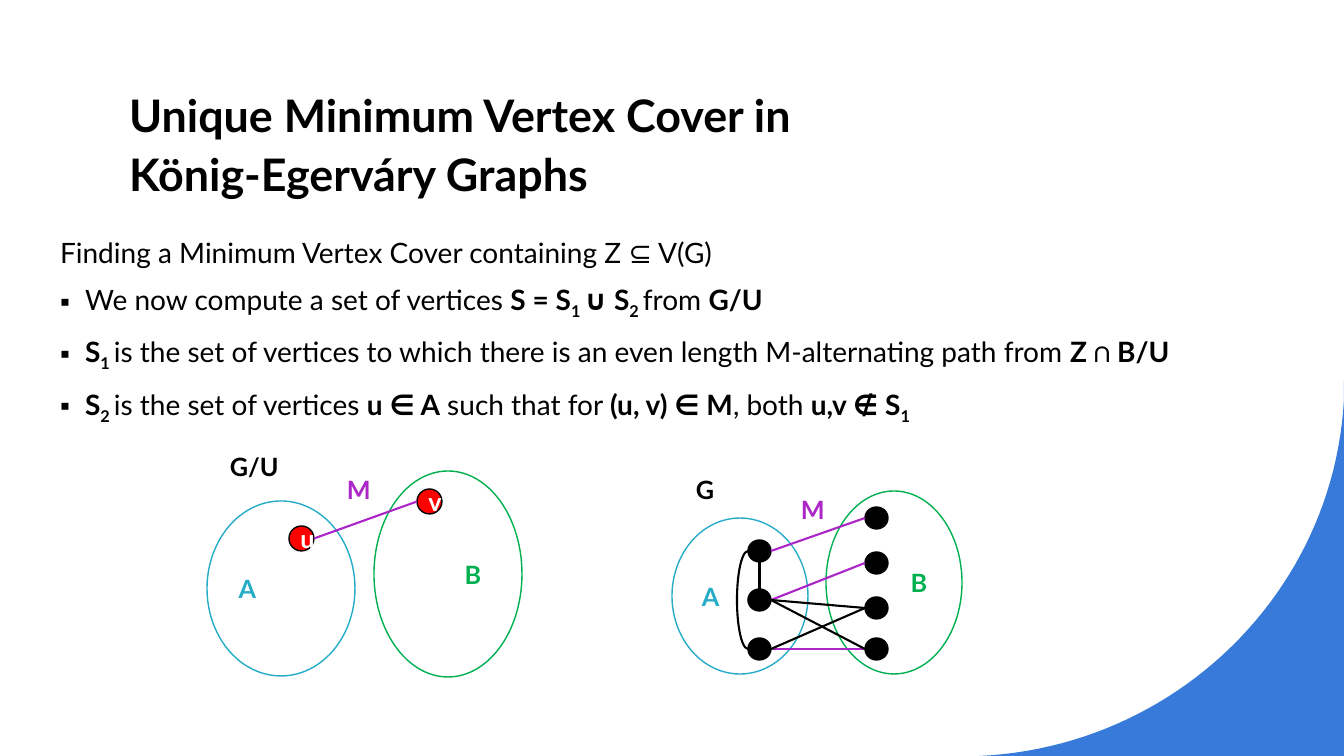
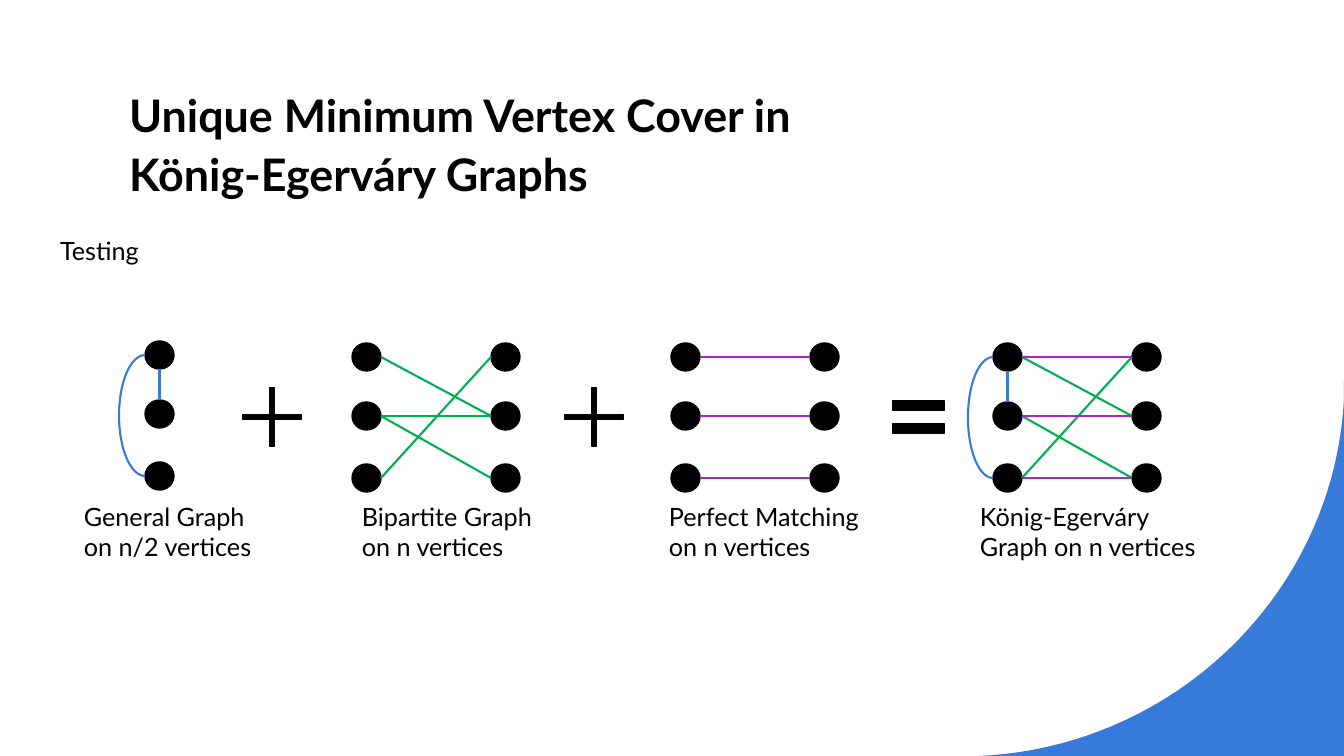
from lxml import etree
from pptx import Presentation
from pptx.dml.color import RGBColor
from pptx.enum import shapes, text
from pptx.oxml.ns import qn
from pptx.util import Emu, Pt

EMU_PER_PX = 914400 / 100.8
FONT = "Lato"
COLOURS = {
    "black": "000000",
    "white": "FFFFFF",
    "red": "FF0000",
    "blue": "377AD9",
    "green": "00B050",
    "cyan": "25ACC7",
    "purple": "AC25C7",
}
TITLE = "Unique Minimum Vertex Cover in König-Egerváry Graphs"
LEFT, CENTER = text.PP_ALIGN.LEFT, text.PP_ALIGN.CENTER
FORM = shapes.MSO_SHAPE


def px(length):
    return Emu(round(length * EMU_PER_PX))


def colour(name):
    return RGBColor.from_string(COLOURS[name])


def curve_points(start, first, second, end, steps=48):
    for step in range(steps + 1):
        t = step / steps
        s = 1 - t
        weights = (s ** 3, 3 * s * s * t, 3 * s * t * t, t ** 3)
        corners = (start, first, second, end)
        yield tuple(px(sum(w * c[axis] for w, c in zip(weights, corners)))
                    for axis in (0, 1))


class GraphDeck:
    def __init__(self):
        self.deck = Presentation()
        self.deck.slide_width, self.deck.slide_height = px(1344), px(756)
        self.layout = self.deck.slide_layouts[1]
        title, body = list(self.layout.placeholders)[:2]
        self.place(title, (119, 80, 806, 126))
        self.place(body, (50, 230, 1283, 492))
        self.page = None

    def place(self, box, frame):
        box.left, box.top, box.width, box.height = map(px, frame)

    def add_page(self):
        first = self.page is None
        self.page = self.deck.slides.add_slide(self.layout)
        if first:
            self.add_corner()
        frame = self.page.shapes.title.text_frame
        frame.auto_size = text.MSO_AUTO_SIZE.NONE
        frame.vertical_anchor = text.MSO_ANCHOR.BOTTOM
        frame.text = TITLE
        para = frame.paragraphs[0]
        para.line_spacing = 1.1
        self.style(para, 32, bold=True)

    def add_corner(self):
        outline = self.page.shapes.build_freeform(px(1344), px(381))
        arc = curve_points((979, 756), (1176, 747), (1334, 592), (1344, 399))
        outline.add_line_segments([(px(1344), px(756)), *arc], close=True)
        corner = outline.convert_to_shape()
        self.paint(corner, "blue")
        self.layout.shapes.element.append(corner.element)

    def style(self, para, size=18, ink="black", bold=False, align=LEFT):
        para.alignment = align
        para.font.name = FONT
        para.font.size = Pt(size)
        para.font.bold = bold
        para.font.color.rgb = colour(ink)

    def paint(self, shape, fill, line=None):
        shape.shadow.inherit = False
        if fill:
            shape.fill.solid()
            shape.fill.fore_color.rgb = colour(fill)
        else:
            shape.fill.background()
        if line:
            shape.line.color.rgb = colour(line)
            shape.line.width = Pt(1)
        else:
            shape.line.fill.background()

    def body(self, lead, points=(), size=18):
        frame = self.page.placeholders[1].text_frame
        frame.auto_size = text.MSO_AUTO_SIZE.NONE
        for number, spans in enumerate([[(lead, "")], *points]):
            para = frame.add_paragraph() if number else frame.paragraphs[0]
            para.space_before = Pt(10)
            indent = px(25) if number else 0
            props = para._p.get_or_add_pPr()
            props.set("marL", str(indent))
            props.set("indent", str(-indent))
            if number:
                etree.SubElement(props, qn("a:buChar"), char="▪")
            else:
                etree.SubElement(props, qn("a:buNone"))
            self.style(para, size)
            for words, kind in spans:
                span = para.add_run()
                span.text = words
                if kind:
                    span.font.bold = True
                if kind == "sub":
                    span._r.get_or_add_rPr().set("baseline", "-25000")

    def label(self, words, frame, ink="black", bold=True):
        box = self.page.shapes.add_textbox(*map(px, frame))
        box.text_frame.word_wrap = True
        box.text_frame.text = words
        self.style(box.text_frame.paragraphs[0], ink=ink, bold=bold)

    def shape(self, form, frame, fill="black", line="black", adjust=()):
        shape = self.page.shapes.add_shape(form, *map(px, frame))
        for index, value in enumerate(adjust):
            shape.adjustments[index] = value
        self.paint(shape, fill, line)
        return shape

    def oval(self, words, frame, fill, line, ink, align=CENTER, indent=0):
        oval = self.shape(FORM.OVAL, frame, fill, line)
        oval.text_frame.text = words
        para = oval.text_frame.paragraphs[0]
        para._p.get_or_add_pPr().set("marL", str(px(indent)))
        self.style(para, ink=ink, bold=True, align=align)
        return oval

    def sets(self, a_frame, b_frame):
        self.oval("B", b_frame, "white", "green", "green", indent=50)
        self.oval("A", a_frame, "white", "cyan", "cyan", LEFT)

    def column(self, left, tops, width, height):
        return [self.shape(FORM.OVAL, (left, top, width, height)) for top in tops]

    def line(self, start, end, ink):
        line = self.page.shapes.add_connector(
            shapes.MSO_CONNECTOR.STRAIGHT, *start, *end)
        line.line.color.rgb = colour(ink)
        line.line.width = Pt(1.5)
        etree.SubElement(line.element.spPr, qn("a:effectLst"))

    def edge(self, start, end, ink):
        self.line((start.left + start.width, start.top + start.height // 2),
                  (end.left, end.top + end.height // 2), ink)

    def edges(self, lefts, rights, pairs, ink):
        for left, right in pairs:
            self.edge(lefts[left], rights[right], ink)

    def inner_edges(self, vertices, bulge, ink):
        upper, lower, last = vertices
        middle = upper.left + upper.width // 2
        self.line((middle, upper.top + upper.height), (middle, lower.top), ink)
        top = upper.top + upper.height // 2
        height = last.top - upper.top
        arc = self.page.shapes.add_shape(
            FORM.LEFT_BRACKET, upper.left - px(bulge), top, px(bulge), height)
        arc.adjustments[0] = height / (2 * px(bulge))
        self.paint(arc, None, ink)
        arc.line.width = Pt(1.5)


def cover_page(deck):
    deck.add_page()
    deck.body("Finding a Minimum Vertex Cover containing Z ⊆ V(G)", [
        [("We now compute a set of vertices ", ""), ("S = S", "bold"),
         ("1 ", "sub"), ("∪ S", "bold"), ("2 ", "sub"), ("from ", ""),
         ("G/U", "bold")],
        [("S", "bold"), ("1 ", "sub"),
         ("is the set of vertices to which there is an even length "
          "M-alternating path from ", ""), ("Z ∩ B/U", "bold")],
        [("S", "bold"), ("2 ", "sub"), ("is the set of vertices ", ""),
         ("u ∈ A", "bold"), (" such that for ", ""), ("(u, v) ∈ M", "bold"),
         (", both ", ""), ("u,v ∉ S", "bold"), ("1", "sub")],
    ], size=20)

    deck.sets((207, 501, 148, 175), (374, 471, 148, 206))
    u, v = (deck.oval(name, (left, top, 25, 25), "red", "black", "white")
            for name, left, top in (("u", 289, 526), ("v", 417, 489)))
    deck.edge(u, v, "purple")
    deck.label("M", (337, 469, 58, 51), "purple")
    deck.label("G/U", (220, 446, 74, 45))

    deck.sets((672, 518, 136, 156), (826, 491, 136, 183))
    lefts = deck.column(748, (540, 589, 638), 23, 22)
    rights = deck.column(865, (507, 552, 597, 638), 23, 22)
    deck.edges(lefts, rights, [(0, 0), (1, 1), (2, 3)], "purple")
    deck.edges(lefts, rights, [(2, 2), (1, 2), (1, 3)], "black")
    deck.inner_edges(lefts, 11, "black")
    deck.label("M", (791, 489, 54, 45), "purple")
    deck.label("G", (686, 469, 54, 40))


def testing_page(deck):
    deck.add_page()
    deck.body("Testing")
    tops, size, pitch = (343, 402, 464), (29, 28), 139
    bipartite = [(0, 1), (1, 1), (1, 2), (2, 0)]
    crossing = [(0, 1), (1, 2), (2, 0)]
    matching = [(0, 0), (1, 1), (2, 2)]

    general = deck.column(145, [top - 2 for top in tops], *size)
    deck.inner_edges(general, 26, "blue")
    for left, groups in (
        (352, [(bipartite, "green")]),
        (671, [(matching, "purple")]),
        (993, [(crossing, "green"), (matching, "purple")]),
    ):
        lefts = deck.column(left, tops, *size)
        rights = deck.column(left + pitch, tops, *size)
        for pairs, ink in groups:
            deck.edges(lefts, rights, pairs, ink)
    deck.inner_edges(lefts, 25, "blue")

    for left in (243, 565):
        deck.shape(FORM.CROSS, (left, 388, 58, 58), adjust=[0.46])
    deck.shape(FORM.MATH_EQUAL, (883, 380, 71, 74), adjust=[0.12, 0.19])

    for words, left, width in (
        ("General Graph on n/2 vertices", 74, 204),
        ("Bipartite Graph on n vertices", 352, 204),
        ("Perfect Matching on n vertices", 659, 216),
        ("König-Egerváry Graph on n vertices", 970, 260),
    ):
        deck.label(words, (left, 496, width, 72), bold=False)


def main():
    graphs = GraphDeck()
    cover_page(graphs)
    testing_page(graphs)
    graphs.deck.save("out.pptx")


if __name__ == "__main__":
    main()
